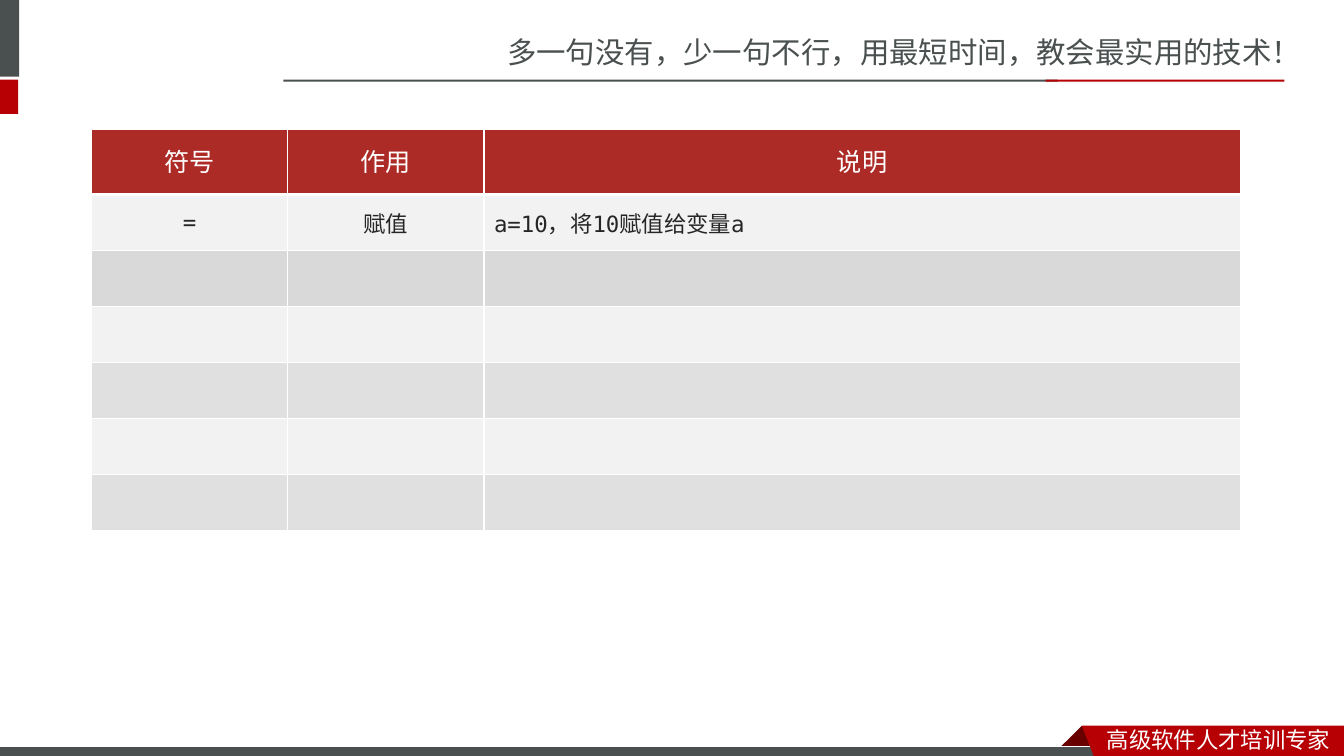
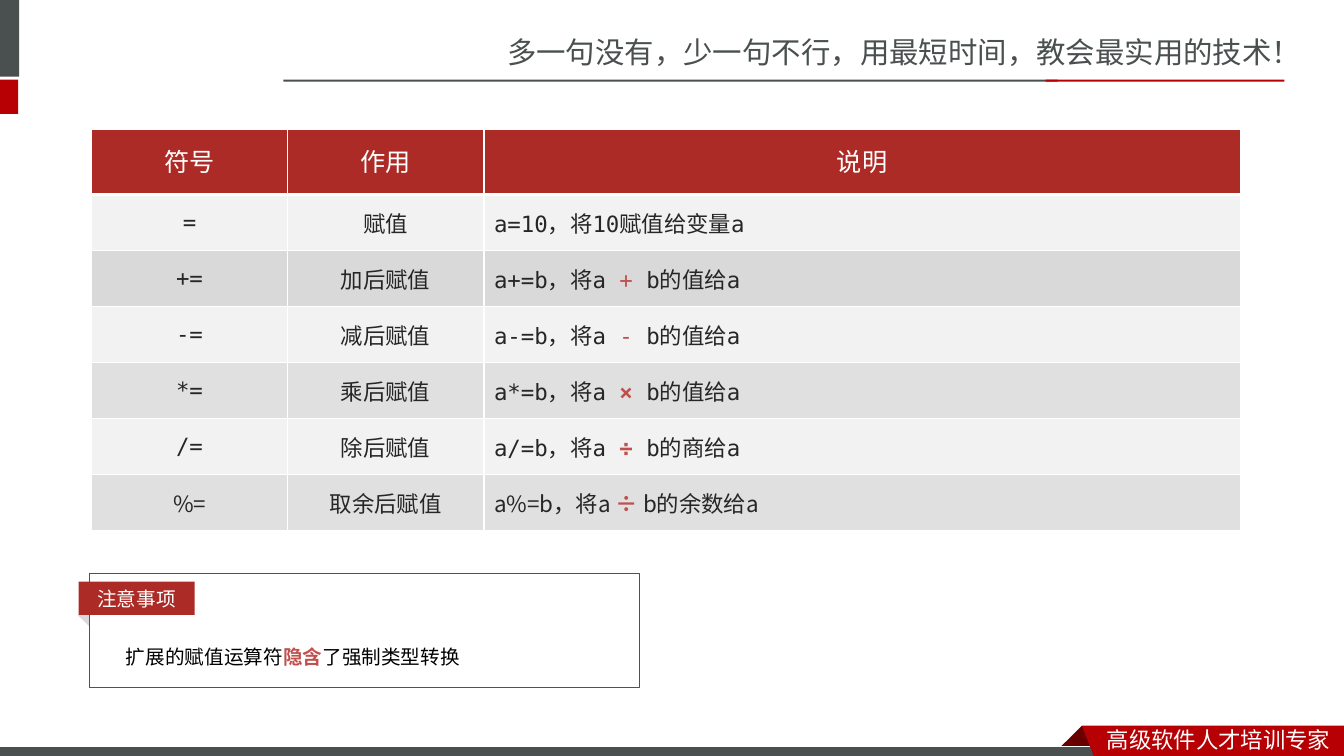
from lxml import etree
from pptx import Presentation
from pptx.dml.color import RGBColor
from pptx.enum.shapes import MSO_SHAPE
from pptx.enum.text import MSO_ANCHOR, PP_ALIGN
from pptx.oxml.ns import qn
from pptx.util import Inches, Pt

RECT, TRIANGLE = MSO_SHAPE.RECTANGLE, MSO_SHAPE.ISOSCELES_TRIANGLE
LEFT, CENTER = PP_ALIGN.LEFT, PP_ALIGN.CENTER
TOP, MIDDLE = MSO_ANCHOR.TOP, MSO_ANCHOR.MIDDLE

WHITE = RGBColor(0xFF, 0xFF, 0xFF)
BLACK = RGBColor(0, 0, 0)
INK = RGBColor(0x26, 0x26, 0x26)
SLATE = RGBColor(0x49, 0x50, 0x4F)
RED = RGBColor(0xB6, 0x00, 0x04)
DARK_RED = RGBColor(0x68, 0x00, 0x00)
BRICK = RGBColor(0xAD, 0x2B, 0x26)
ACCENT = RGBColor(0xC0, 0x50, 0x4D)
PALE = RGBColor(0xF2, 0xF2, 0xF2)
GREY = RGBColor(0xD9, 0xD9, 0xD9)
CJK, CJK_JP = "Noto Sans CJK SC", "Noto Sans CJK JP"
SANS, MONO = "Arial", "DejaVu Sans Mono"

# Content: in a tuple of text parts, every second part is highlighted
TITLE = "多一句没有，少一句不行，用最短时间，教会最实用的技术！"
TAGLINE = "高级软件人才培训专家"
HEADER = ("符号", "作用", "说明")
OPERATORS = [
    ("=", "赋值", ("a=10，将10赋值给变量a",)),
    ("+=", "加后赋值", ("a+=b，将a ", "+ ", "b的值给a")),
    ("-=", "减后赋值", ("a-=b，将a ", "- ", "b的值给a")),
    ("*=", "乘后赋值", ("a*=b，将a ", "× ", "b的值给a")),
    ("/=", "除后赋值", ("a/=b，将a ", "÷ ", "b的商给a")),
]
REMAINDER = ("%=", "取余后赋值", ("a%=b，将a ", "÷ ", "b的余数给a"))
PLAIN_ACCENTS = ("+=", "-=")
NOTE_LABEL = "注意事项"
NOTE = ("扩展的赋值运算符", "隐含", "了强制类型转换")

# Table grid: the remainder table continues the operator table
TABLE_LEFT, TABLE_TOP, TABLE_HEIGHT = 0.91, 1.28, 3.43
COLUMNS = (1.94, 1.95, 7.5)
HEADER_HEIGHT = 0.65
ROW_HEIGHT = (TABLE_HEIGHT - HEADER_HEIGHT) / len(OPERATORS)
FADED = (GREY, 80)
ROW_FILLS = [(PALE, 100), (GREY, 100), (PALE, 100), FADED, (PALE, 100)]

# Shared decoration: (left, top, width, height), fill, outline
BANDS = [
    ((-0.06, 0, 0.25, 0.76), SLATE, None),
    ((-0.06, 0.79, 0.24, 0.34), RED, None),
    ((2.81, 0.79, 7.68, 0.02), SLATE, None),
    ((10.37, 0.79, 2.37, 0.02), RED, None),
    ((-0.01, 7.41, 11, 0.12), SLATE, WHITE),
]
# Ribbon outlines in hundredths of an inch
RIBBON_FOLD = [(1073, 720), (1095, 742), (1094, 743), (1052, 743), (1051, 742)]
RIBBON = [(1073, 720), (1333, 720), (1333, 754), (1086, 753)]


def write(frame, text, size, color, font=CJK, east=CJK, align=LEFT,
          spacing=None, bold_accent=True, anchor=MIDDLE):
    frame.word_wrap = True
    frame.vertical_anchor = anchor
    paragraph = frame.paragraphs[0]
    paragraph.alignment = align
    if spacing:
        paragraph.line_spacing = spacing
    parts = (text,) if isinstance(text, str) else text
    for index, part in enumerate(parts):
        accent = index % 2 == 1
        run = paragraph.add_run()
        run.text = part
        run.font.size = Pt(size)
        run.font.name = font
        run.font.bold = accent and bold_accent
        run.font.color.rgb = ACCENT if accent else color
        latin = run.font._element.find(qn("a:latin"))
        latin.addnext(latin.makeelement(qn("a:ea"), {"typeface": east}))


def paint(shape, fill=None, outline=None):
    shape.shadow.inherit = False
    if fill is None:
        shape.fill.background()
    else:
        shape.fill.solid()
        shape.fill.fore_color.rgb = fill
    if outline is None:
        shape.line.fill.background()
    else:
        shape.line.color.rgb = outline
        shape.line.width = Pt(0.75)
    return shape


def add_block(slide, box, fill=None, outline=None, kind=RECT):
    return paint(slide.shapes.add_shape(kind, *map(Inches, box)), fill, outline)


def add_outline(slide, points, fill):
    builder = slide.shapes.build_freeform(*points[0], scale=Inches(0.01))
    builder.add_line_segments(points[1:], close=True)
    return paint(builder.convert_to_shape(), fill)


def add_text(slide, box, text, size, color, **style):
    label = slide.shapes.add_textbox(*map(Inches, box))
    write(label.text_frame, text, size, color, **style)
    return label


def prepare_layout(layout):
    for holder in list(layout.placeholders):
        if holder.placeholder_format.idx:
            holder._element.getparent().remove(holder._element)
        else:
            holder.left, holder.top = Inches(4.93), Inches(0.28)
            holder.width, holder.height = Inches(8.41), Inches(0.47)


def decorate_layout(layout, slide):
    """Draw the bands and ribbon once, then hand them to the layout."""
    *top_bands, bottom_band = BANDS
    parts = [add_block(slide, *band) for band in top_bands]
    parts.append(add_outline(slide, RIBBON_FOLD, DARK_RED))
    parts.append(add_block(slide, *bottom_band))
    parts.append(add_outline(slide, RIBBON, RED))
    parts.append(add_text(slide, (10.88, 7.15, 2.45, 0.37), TAGLINE, 16, WHITE))
    for part in parts:
        layout.shapes._spTree.append(part._element)


def style_cell(cell, color, opacity=100, top=1, bottom=1):
    cell.vertical_anchor = MIDDLE
    cell.fill.solid()
    cell.fill.fore_color.rgb = color
    properties = cell._tc.get_or_add_tcPr()
    if opacity < 100:
        rgb = properties.find(".//" + qn("a:srgbClr"))
        etree.SubElement(rgb, qn("a:alpha"), val=str(opacity * 1000))
    borders = (("a:lnL", 1), ("a:lnR", 1), ("a:lnT", top), ("a:lnB", bottom))
    for position, (tag, width) in enumerate(borders):
        line = properties.makeelement(qn(tag), {"w": str(Pt(width))})
        solid = etree.SubElement(line, qn("a:solidFill"))
        etree.SubElement(solid, qn("a:srgbClr"), val=str(WHITE))
        properties.insert(position, line)


def add_grid(slide, top, heights):
    table = slide.shapes.add_table(
        len(heights), len(COLUMNS), Inches(TABLE_LEFT), Inches(top),
        Inches(sum(COLUMNS)), Inches(sum(heights))).table
    table.first_row = table.horz_banding = False
    for column, width in zip(table.columns, COLUMNS):
        column.width = Inches(width)
    for row, height in zip(table.rows, heights):
        row.height = Inches(height)
    return table


def fill_row(table, row, operator, fill, shown, font=MONO, east=CJK, top=1):
    for column, text in enumerate(operator):
        cell = table.cell(row, column)
        style_cell(cell, *fill, top=top)
        if shown:
            write(cell.text_frame, text, 16, INK, font=font, east=east,
                  align=LEFT if column == 2 else CENTER,
                  bold_accent=operator[0] not in PLAIN_ACCENTS)


def add_operator_tables(slide, filled):
    table = add_grid(slide, TABLE_TOP, [HEADER_HEIGHT] + [ROW_HEIGHT] * len(OPERATORS))
    for column, heading in enumerate(HEADER):
        cell = table.cell(0, column)
        style_cell(cell, BRICK, bottom=3)
        write(cell.text_frame, heading, 18, WHITE, font=SANS, align=CENTER, spacing=Pt(24))
    for row, (operator, fill) in enumerate(zip(OPERATORS, ROW_FILLS), start=1):
        fill_row(table, row, operator, fill, row <= filled, top=3 if row == 1 else 1)

    remainder = add_grid(slide, TABLE_TOP + TABLE_HEIGHT, [ROW_HEIGHT])
    fill_row(remainder, 0, REMAINDER, FADED, filled > len(OPERATORS),
             font=CJK_JP, east=CJK_JP)


def add_note(slide):
    fold = add_block(slide, (0.78, 6.08, 0.16, 0.09), GREY, kind=TRIANGLE)
    fold.rotation = 44.2
    add_text(slide, (1.15, 6.23, 7.4, 0.42), NOTE, 14, BLACK,
             font=MONO, spacing=1.5, anchor=TOP)
    add_block(slide, (0.89, 5.69, 5.45, 1.13), outline=BRICK)
    label = add_block(slide, (0.78, 5.77, 1.15, 0.33), BRICK)
    write(label.text_frame, NOTE_LABEL, 14, WHITE, font=SANS, align=CENTER)


def add_lesson(deck, layout, filled):
    slide = deck.slides.add_slide(layout)
    write(slide.shapes.title.text_frame, TITLE, 21, SLATE)
    add_operator_tables(slide, filled)
    return slide


def main():
    deck = Presentation()
    deck.slide_width, deck.slide_height = Inches(13.33), Inches(7.5)
    layout = deck.slide_layouts.get_by_name("Title Only")
    prepare_layout(layout)

    # Slide 1: only the first operator is filled in
    opening = add_lesson(deck, layout, filled=1)
    decorate_layout(layout, opening)

    # Slide 2: both tables in full and the note
    complete = add_lesson(deck, layout, filled=len(OPERATORS) + 1)
    add_note(complete)
    deck.save("out.pptx")


if __name__ == "__main__":
    main()
